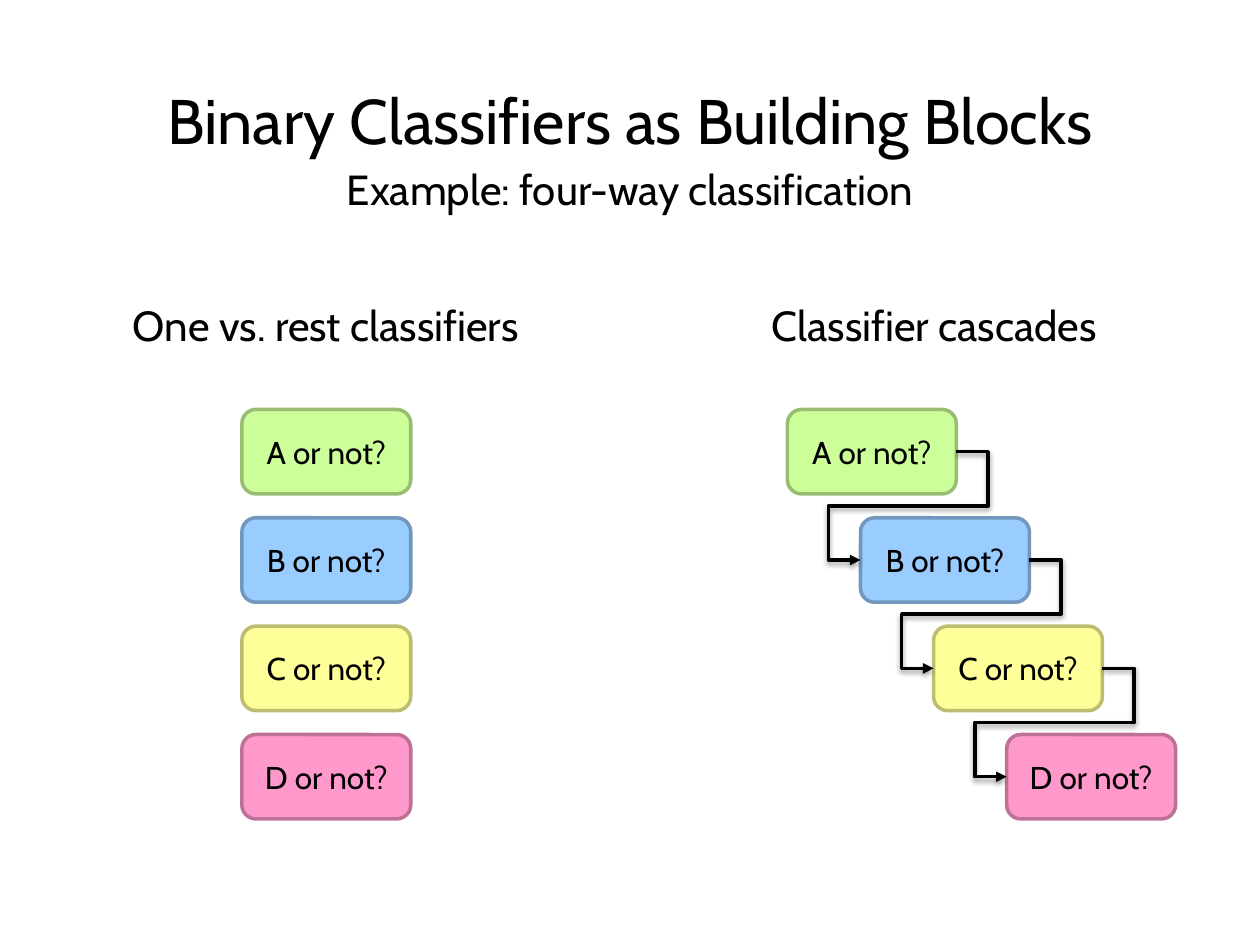
from pptx import Presentation
from pptx.dml.color import RGBColor
from pptx.enum.shapes import MSO_CONNECTOR, MSO_SHAPE
from pptx.enum.text import MSO_ANCHOR, PP_ALIGN
from pptx.oxml.ns import qn
from pptx.util import Inches, Pt
from lxml import etree

ROUNDED = MSO_SHAPE.ROUNDED_RECTANGLE
ELBOW = MSO_CONNECTOR.ELBOW
CENTER = PP_ALIGN.CENTER
MIDDLE = MSO_ANCHOR.MIDDLE
LEFT_SIDE, RIGHT_SIDE = 1, 3

FONT = "Cabin"
BLACK = "000000"

# text, left, top, width, height, size
HEADINGS = [
    ("Binary Classifiers as Building Blocks", 0, 0.6, 10, 0.75, 36),
    ("Example: four-way classification", 0, 1.25, 10, 0.5, 24),
    ("One vs. rest classifiers", 0, 2.33, 5.17, 0.5, 24),
    ("Classifier cascades", 4.83, 2.33, 5.17, 0.5, 24),
]

# text, fill, outline
CLASSIFIERS = [
    ("A or not?", "CCFF99", "97BD71"),
    ("B or not?", "99CCFF", "7197BD"),
    ("C or not?", "FFFF99", "BDBD71"),
    ("D or not?", "FF99CC", "BD7197"),
]

BOX_WIDTH, BOX_HEIGHT = 1.34, 0.67
FIRST_TOP, ROW_STEP = 3.25, 0.86
ONE_VS_REST_LEFT = 1.92
CASCADE_LEFT, CASCADE_STEP = 6.25, 0.58
ELBOW_ADJUSTMENTS = {"adj1": -33333, "adj2": 50000, "adj3": 133333}


def color(value):
    return RGBColor.from_string(value)


def write(shape, text, size):
    paragraph = shape.text_frame.paragraphs[0]
    paragraph.alignment = CENTER
    run = paragraph.add_run()
    run.text = text
    run.font.name = FONT
    run.font.size = Pt(size)
    run.font.color.rgb = color(BLACK)


def add_heading(slide, text, left, top, width, height, size):
    box = slide.shapes.add_textbox(
        Inches(left), Inches(top), Inches(width), Inches(height))
    box.text_frame.word_wrap = True
    write(box, text, size)


def add_classifiers(group, left, step):
    """Stack the classifier boxes, each one moved right by step."""
    boxes = []
    for row, (text, fill, outline) in enumerate(CLASSIFIERS):
        box = group.shapes.add_shape(
            ROUNDED, Inches(left + row * step), Inches(FIRST_TOP + row * ROW_STEP),
            Inches(BOX_WIDTH), Inches(BOX_HEIGHT))
        box.shadow.inherit = False
        box.fill.solid()
        box.fill.fore_color.rgb = color(fill)
        box.line.color.rgb = color(outline)
        box.line.width = Pt(2)
        box.text_frame.word_wrap = True
        box.text_frame.vertical_anchor = MIDDLE
        write(box, text, 18)
        boxes.append(box)
    return boxes


def add_cascade_arrow(group, source, target):
    """Lead from the right of source, back between the rows, to the left of target.

    The connector keeps the soft shadow of its theme style.
    """
    connector = group.shapes.add_connector(
        ELBOW, source.left + source.width, source.top + source.height // 2,
        target.left, target.top + target.height // 2)
    connector.begin_connect(source, RIGHT_SIDE)
    connector.end_connect(target, LEFT_SIDE)
    connector.line.color.rgb = color(BLACK)
    connector.line.width = Pt(2)
    etree.SubElement(connector.line._get_or_add_ln(), qn("a:tailEnd"), type="triangle")

    geometry = connector._element.spPr.find(qn("a:prstGeom"))
    geometry.set("prst", "bentConnector5")
    adjustments = geometry.find(qn("a:avLst"))
    for name, value in ELBOW_ADJUSTMENTS.items():
        etree.SubElement(adjustments, qn("a:gd"), name=name, fmla=f"val {value}")


def main():
    presentation = Presentation()
    presentation.slide_width = Inches(10)
    presentation.slide_height = Inches(7.5)
    slide = presentation.slides.add_slide(presentation.slide_layouts[6])

    for heading in HEADINGS:
        add_heading(slide, *heading)

    add_classifiers(slide.shapes.add_group_shape(), ONE_VS_REST_LEFT, 0)

    cascade = slide.shapes.add_group_shape()
    boxes = add_classifiers(cascade, CASCADE_LEFT, CASCADE_STEP)
    for source, target in zip(boxes, boxes[1:]):
        add_cascade_arrow(cascade, source, target)

    presentation.save("out.pptx")


if __name__ == "__main__":
    main()
